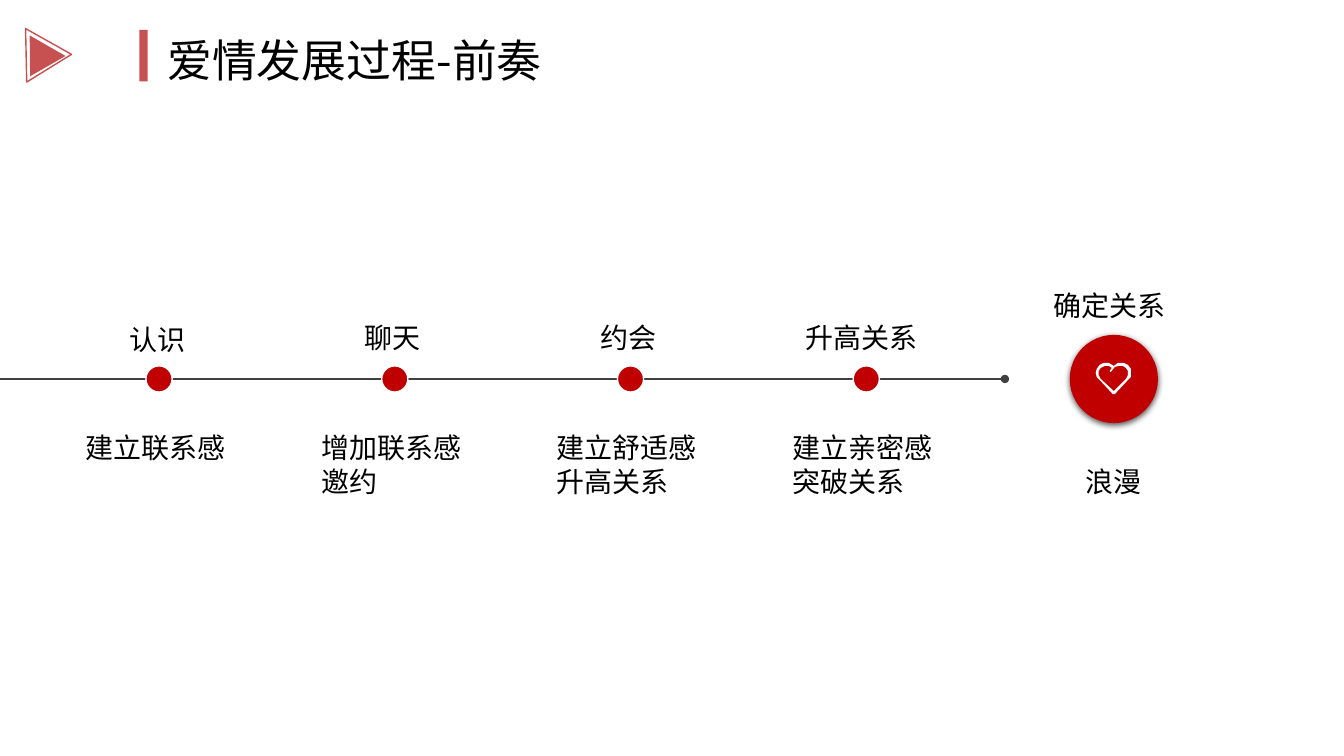
from lxml.etree import SubElement
from pptx import Presentation
from pptx.dml.color import RGBColor
from pptx.enum.shapes import MSO_CONNECTOR, MSO_SHAPE
from pptx.enum.text import MSO_ANCHOR, MSO_AUTO_SIZE, PP_ALIGN
from pptx.oxml.ns import qn
from pptx.util import Pt

FONT = "Noto Sans CJK SC"
HUES = {"rose": "C75050", "red": "C00000", "gray": "404040",
        "white": "FFFFFF", "black": "000000"}

STEPS = [
    ("认识", 57, 224.6, "建立联系感"),
    ("聊天", 57, 223.2, "增加联系感\n邀约"),
    ("约会", 57, 223.2, "建立舒适感\n升高关系"),
    ("升高关系", 101, 223.2, "建立亲密感\n突破关系"),
]
FIRST, STEP, AXIS = 113.6, 168.4, 270.7
GOAL = 795.6

OUTER = [(1104, 391), (1091, 377), (1088, 373.5), (1087, 370), (1088, 366.5),
         (1091, 362.5), (1095, 360.4), (1100, 360), (1105, 362.6),
         (1109, 360.4), (1115, 360.2), (1119, 362.5), (1121.6, 366.5),
         (1122.4, 370), (1121.5, 374), (1119, 377), (1106, 391), (1105, 391.4)]
INNER = [(1106, 364.4), (1102, 369), (1101, 368.8), (1101, 368),
         (1103.3, 365), (1100, 362.9), (1096, 363), (1092.4, 365),
         (1090.3, 368), (1090, 371.5), (1092, 375.6), (1105, 388.4),
         (1117.4, 375.6), (1119.4, 372), (1119.2, 368), (1117, 364.8),
         (1114, 363), (1110, 362.9)]


def hue(name):
    return RGBColor.from_string(HUES[name])


def write(frame, text, size=20, color="black", align=PP_ALIGN.LEFT):
    frame.word_wrap = True
    frame.auto_size = MSO_AUTO_SIZE.NONE
    frame.vertical_anchor = MSO_ANCHOR.TOP
    frame.margin_top = Pt(3.6 + size * 0.09)
    frame.margin_bottom = Pt(0)
    frame.text = text
    for para in frame.paragraphs:
        para.alignment = align
        para.line_spacing = Pt(size * 1.21)
        para.space_before = Pt(0)
        for run in para.runs:
            font = run.font
            font.size, font.name, font.bold = Pt(size), FONT, False
            font.color.rgb = hue(color)
            SubElement(font._element, qn("a:ea"), typeface=FONT)


class Board:
    def __init__(self, slide):
        self.slide = slide
        self.shapes = slide.shapes

    def title(self, text, x, y, w, h):
        box = self.shapes.title
        box.left, box.top, box.width, box.height = map(Pt, (x, y, w, h))
        write(box.text_frame, text, size=32)

    def text(self, text, mid, y, w, **style):
        high = 31.7 + 24.2 * text.count("\n")
        box = self.shapes.add_textbox(Pt(mid - w / 2), Pt(y), Pt(w), Pt(high))
        write(box.text_frame, text, **style)

    def paint(self, shape, fill, line):
        shape.shadow.inherit = False
        if fill:
            shape.fill.solid()
            shape.fill.fore_color.rgb = hue(fill)
        else:
            shape.fill.background()
        if line:
            shape.line.color.rgb = hue(line)
            shape.line.width = Pt(1)
        else:
            shape.line.fill.background()

    def shape(self, kind, x, y, w, h, fill=None, line=None, turn=0):
        item = self.shapes.add_shape(kind, Pt(x), Pt(y), Pt(w), Pt(h))
        item.rotation = turn
        self.paint(item, fill, line)
        return item

    def disc(self, mid, size, fill, line=None):
        return self.shape(MSO_SHAPE.OVAL, mid - size / 2, AXIS - size / 2,
                          size, size, fill, line)

    def shade(self, shape):
        glow = SubElement(shape._element.spPr.find(qn("a:effectLst")),
                          qn("a:outerShdw"), blurRad=str(Pt(4.5)),
                          dist=str(Pt(1.5)), dir="5400000", algn="t",
                          rotWithShape="0")
        tint = SubElement(glow, qn("a:srgbClr"), val=HUES["black"])
        SubElement(tint, qn("a:alpha"), val="63000")

    def line(self, start, end, color):
        item = self.shapes.add_connector(MSO_CONNECTOR.STRAIGHT, Pt(start),
                                         Pt(AXIS), Pt(end), Pt(AXIS))
        item.line.color.rgb = hue(color)
        item.line.width = Pt(1)
        SubElement(item.line._get_or_add_ln(), qn("a:tailEnd"), type="oval")
        SubElement(item._element.spPr, qn("a:effectLst"))

    def outline(self, loops, fill):
        (x, y), *rest = loops[0]
        pen = self.shapes.build_freeform(x, y, scale=Pt(0.72))
        pen.add_line_segments(rest)
        for (x, y), *rest in loops[1:]:
            pen.move_to(x, y)
            pen.add_line_segments(rest)
        self.paint(pen.convert_to_shape(), fill, None)


def main():
    deck = Presentation()
    deck.slide_width, deck.slide_height = Pt(960), Pt(540)
    board = Board(deck.slides.add_slide(deck.slide_layouts[5]))

    board.shape(MSO_SHAPE.RECTANGLE, 99.6, 21.4, 5.8, 36.7, fill="rose")
    board.title("爱情发展过程-前奏", 112.3, 16.6, 404.6, 46.1)
    board.shape(MSO_SHAPE.ISOSCELES_TRIANGLE, 15.8, 23, 38.2, 32.4,
                line="rose", turn=88.8)
    board.shape(MSO_SHAPE.ISOSCELES_TRIANGLE, 13, 31, 29.5, 25.2,
                fill="rose", turn=209.8)

    board.line(0, 717.8, "gray")
    for i, (name, wide, top, note) in enumerate(STEPS):
        mid = FIRST + i * STEP
        board.disc(mid, 18.7, "red", "white")
        board.text(name, mid, top, wide)
        board.text(note, mid, 301.7, 119.5)

    board.shade(board.disc(GOAL, 63, "red"))
    board.outline([OUTER, INNER], "white")
    board.text("确定关系", GOAL, 200.2, 101)
    board.text("浪漫", GOAL, 326.2, 101, align=PP_ALIGN.CENTER)
    deck.save("out.pptx")


if __name__ == "__main__":
    main()
